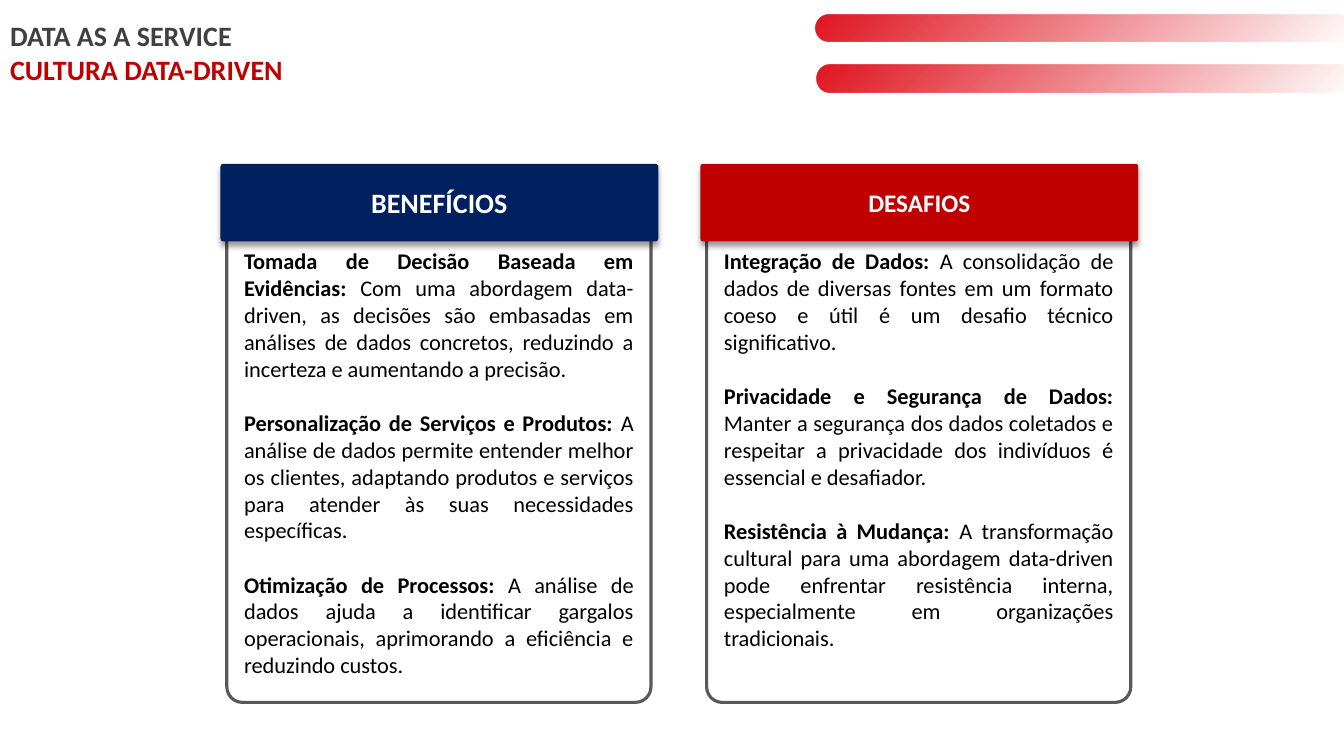
from pptx import Presentation
from pptx import util as u
from pptx.dml.color import RGBColor
from pptx.enum import shapes, text
from pptx.oxml import parse_xml
from pptx.oxml.ns import nsdecls

PX = 9525  # EMU in one px, 96 px to the inch
FONT = "Calibri"
WHITE = RGBColor(0xFF, 0xFF, 0xFF)
BLACK = RGBColor(0, 0, 0)
DARK_GREY = RGBColor(0x40, 0x40, 0x40)
BORDER_GREY = RGBColor(0x59, 0x59, 0x59)
NAVY = RGBColor(0x00, 0x20, 0x60)
RED = RGBColor(0xC0, 0x00, 0x00)
BRIGHT_RED = RGBColor(0xE1, 0x16, 0x22)

COLUMN_LEFT, COLUMN_STEP = 210, 457
CORNER = 0.037

COLUMNS = [
    ("BENEFÍCIOS", NAVY, 20, [
        ("Tomada de Decisão Baseada em Evidências:",
         " Com uma abordagem data-driven, as decisões são embasadas em análises "
         "de dados concretos, reduzindo a incerteza e aumentando a precisão."),
        ("Personalização de Serviços e Produtos:",
         " A análise de dados permite entender melhor os clientes, adaptando "
         "produtos e serviços para atender às suas necessidades específicas."),
        ("Otimização de Processos: ",
         "A análise de dados ajuda a identificar gargalos operacionais, "
         "aprimorando a eficiência e reduzindo custos."),
    ]),
    ("DESAFIOS", RED, 18, [
        ("Integração de Dados: ",
         "A consolidação de dados de diversas fontes em um formato coeso e útil "
         "é um desafio técnico significativo."),
        ("Privacidade e Segurança de Dados: ",
         "Manter a segurança dos dados coletados e respeitar a privacidade dos "
         "indivíduos é essencial e desafiador."),
        ("Resistência à Mudança: ",
         "A transformação cultural para uma abordagem data-driven pode enfrentar "
         "resistência interna, especialmente em organizações tradicionais."),
    ]),
]


def box(left, top, width, height):
    return [n * PX for n in (left, top, width, height)]


def write(frame, paragraphs, size, align, anchor, gap=0):
    """Each paragraph is a list of (words, colour, bold) runs."""
    frame.word_wrap = True
    frame.auto_size = text.MSO_AUTO_SIZE.NONE
    frame.vertical_anchor = anchor
    for i, runs in enumerate(paragraphs):
        paragraph = frame.add_paragraph() if i else frame.paragraphs[0]
        paragraph.alignment = align
        paragraph.line_spacing = 1.0
        paragraph.space_before = u.Pt(gap if i else 0)
        for words, colour, bold in runs:
            run = paragraph.add_run()
            run.text = words
            run.font.name, run.font.size, run.font.bold = FONT, u.Pt(size), bold
            run.font.color.rgb = colour


def rounded(slide, place, corner, fill=None, line=None):
    panel = slide.shapes.add_shape(shapes.MSO_SHAPE.ROUNDED_RECTANGLE, *box(*place))
    panel.adjustments[0] = corner
    panel.shadow.inherit = False
    if fill is None:
        panel.fill.background()
    else:
        panel.fill.solid()
        panel.fill.fore_color.rgb = fill
    if line is None:
        panel.line.fill.background()
    else:
        panel.line.color.rgb = line
        panel.line.width = u.Pt(2.25)
    return panel


def fading_bar(slide, place):
    bar = rounded(slide, place, 0.5)
    stops = "".join(
        f'<a:gs pos="{n * 1000}"><a:srgbClr val="{BRIGHT_RED}">'
        f'<a:alpha val="{n * 1000}"/></a:srgbClr></a:gs>'
        for n in range(0, 101, 25))
    gradient = parse_xml(
        f'<a:gradFill {nsdecls("a")} rotWithShape="1"><a:gsLst>{stops}</a:gsLst>'
        '<a:path path="circle"><a:fillToRect l="100000" t="100000"/></a:path>'
        '</a:gradFill>')
    properties = bar._element.spPr
    properties.replace(properties.find("{*}noFill"), gradient)


def drop_shadow(panel):
    panel._element.spPr.find("{*}effectLst").append(parse_xml(
        f'<a:outerShdw {nsdecls("a")} blurRad="50800" dist="38100" dir="5400000" '
        'algn="t" rotWithShape="0"><a:srgbClr val="000000"><a:alpha val="40000"/>'
        '</a:srgbClr></a:outerShdw>'))


def column(slide, left, heading, colour, size, topics):
    # Outlined card behind its header
    rounded(slide, (left + 6, 160, 404, 509), CORNER, WHITE, BORDER_GREY)
    header = rounded(slide, (left, 156, 417, 74), CORNER, colour)
    drop_shadow(header)
    write(header.text_frame, [[(heading, WHITE, True)]], size,
          text.PP_ALIGN.CENTER, text.MSO_ANCHOR.MIDDLE)
    # Topics, one line apart
    body = slide.shapes.add_textbox(*box(left + 13, 231, 390, 423))
    write(body.text_frame,
          [[(topic, BLACK, True), (detail, BLACK, False)] for topic, detail in topics],
          16, text.PP_ALIGN.JUSTIFY, text.MSO_ANCHOR.TOP, gap=19.5)


def main():
    deck = Presentation()
    deck.slide_width, deck.slide_height = 1280 * PX, 720 * PX
    slide = deck.slides.add_slide(deck.slide_layouts[5])

    # Title
    title = slide.shapes.title
    title.left, title.top, title.width, title.height = box(0, 13, 777, 74)
    write(title.text_frame,
          [[("DATA AS A SERVICE", DARK_GREY, True)],
           [("CULTURA DATA-DRIVEN", RED, True)]],
          20, text.PP_ALIGN.LEFT, text.MSO_ANCHOR.MIDDLE)

    # Decorative bars at the top right
    for left, top in ((777, 14), (778, 62)):
        fading_bar(slide, (left, top, 511, 26))

    # Benefits and challenges
    for i, content in enumerate(COLUMNS):
        column(slide, COLUMN_LEFT + i * COLUMN_STEP, *content)

    deck.save("out.pptx")


if __name__ == "__main__":
    main()
